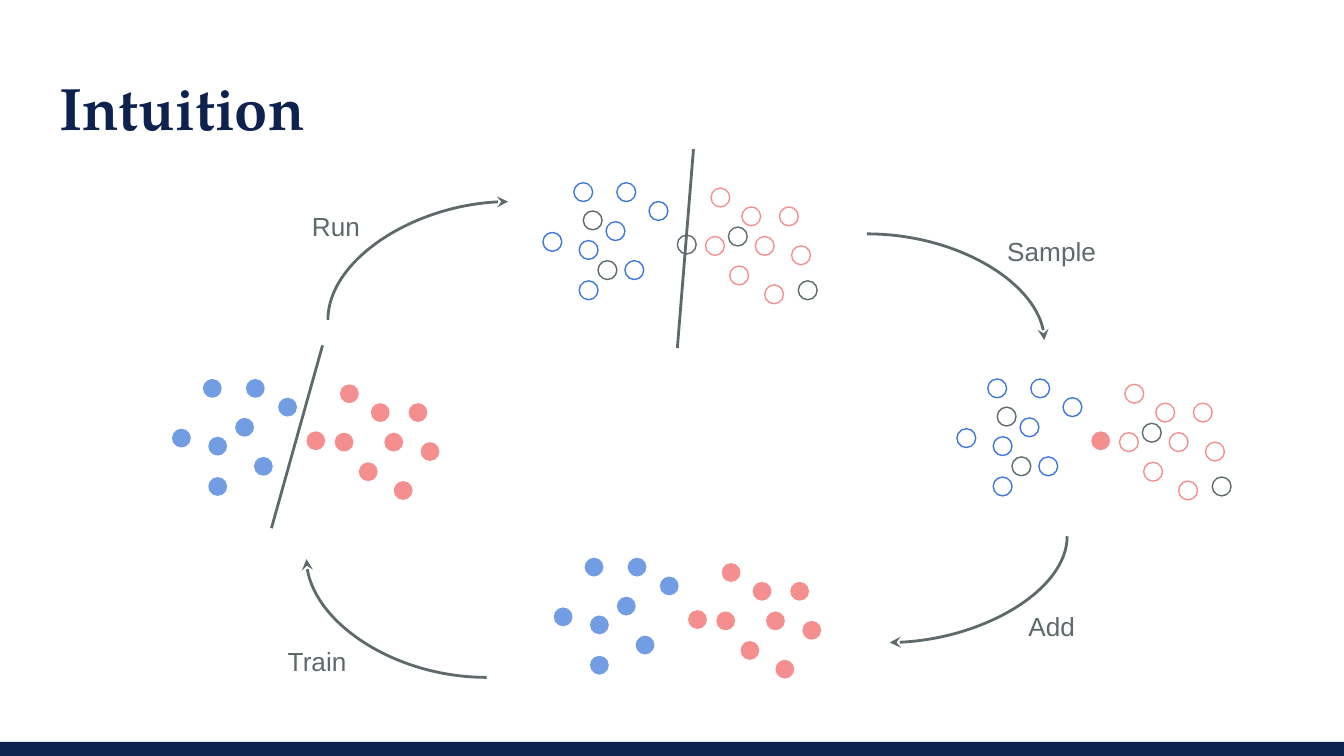
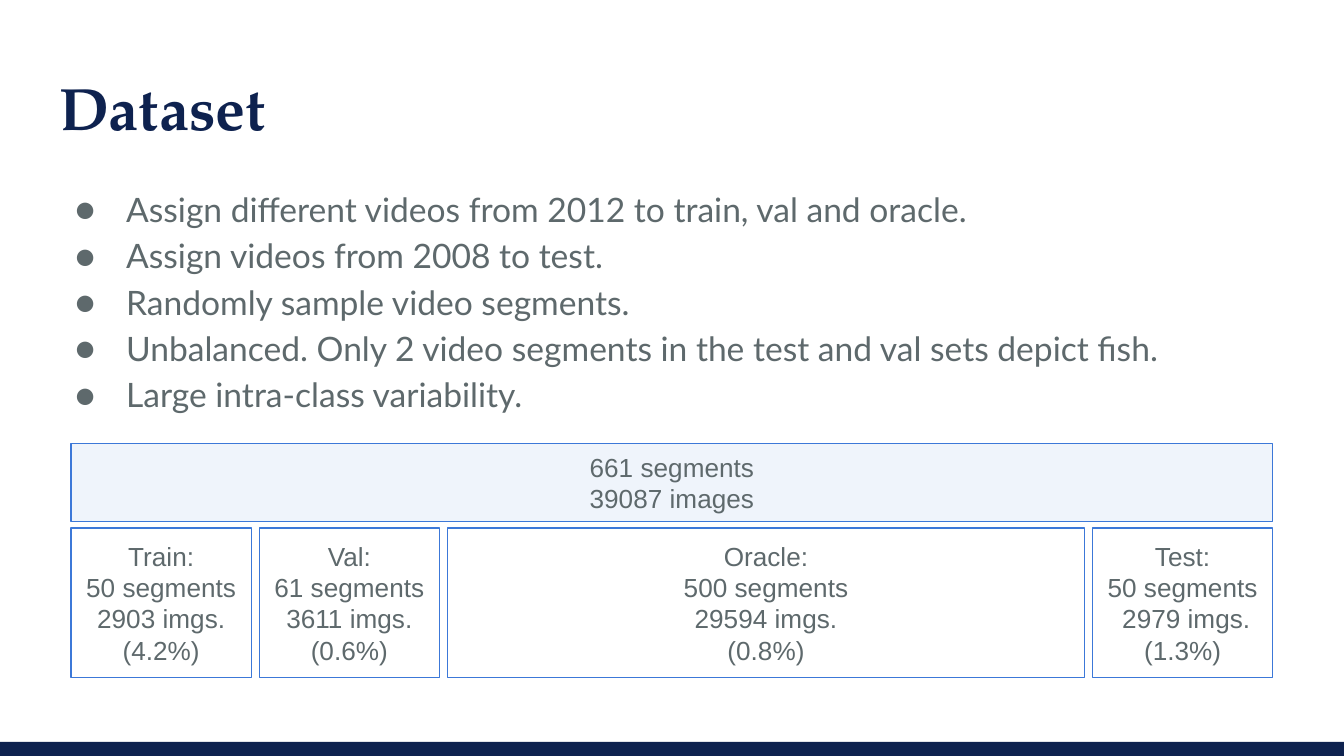
from dataclasses import dataclass

from lxml.etree import SubElement
from pptx import Presentation
from pptx.dml.color import RGBColor
from pptx.enum.shapes import MSO_CONNECTOR, MSO_SHAPE
from pptx.enum.text import MSO_ANCHOR, MSO_AUTO_SIZE, PP_ALIGN
from pptx.oxml.ns import qn
from pptx.util import Inches, Pt


@dataclass(frozen=True)
class Theme:
    navy: str = "0E224F"
    gray: str = "5E696C"
    blue: str = "3C78D8"
    red: str = "F58F8F"
    serif: str = "TeX Gyre Pagella"
    sans: str = "Lato"
    plain: str = "Arial"
    title: int = 32
    body: int = 18
    label: int = 14
    thin: float = 0.75
    thick: float = 1.5


THEME = Theme()
WIDTH = 10
HEIGHT = WIDTH * 9 / 16
DOT = 0.14

# Dot places, measured from the top left of a cluster
BLUES = [(0.55, 0), (0.23, 0), (0.27, 0.43), (0.61, 0.58),
         (0.79, 0.14), (0.27, 0.73), (0, 0.37), (0.47, 0.29)]
REDS = [(1.25, 0.04), (1.21, 0.4), (1.48, 0.18), (1.39, 0.62),
        (1.58, 0.4), (1.65, 0.76), (1.76, 0.18), (1.85, 0.47)]
GRAYS = [(1.38, 0.33), (0.3, 0.21), (0.41, 0.58), (1.9, 0.73)]
MIDDLE = (1.0, 0.39)

POINTS = [
    "Assign different videos from 2012 to train, val and oracle.",
    "Assign videos from 2008 to test.",
    "Randomly sample video segments.",
    "Unbalanced. Only 2 video segments in the test and val sets depict fish.",
    "Large intra-class variability.",
]
SPLITS = [
    (1.34, "Train:\n50 segments\n2903 imgs.\n(4.2%)"),
    (1.34, "Val:\n61 segments\n3611 imgs.\n(0.6%)"),
    (4.74, "Oracle:\n500 segments\n29594 imgs.\n(0.8%)"),
    (1.34, "Test:\n50 segments\n 2979 imgs.\n(1.3%)"),
]


def color(code):
    return RGBColor.from_string(code)


def write(shape, text, font, size, tint, bold=False,
          align=PP_ALIGN.LEFT, anchor=MSO_ANCHOR.TOP):
    frame = shape.text_frame
    frame.text = text
    frame.word_wrap = True
    frame.auto_size = MSO_AUTO_SIZE.NONE
    frame.vertical_anchor = anchor
    frame.margin_left = frame.margin_right = Inches(0.1)
    frame.margin_top = frame.margin_bottom = Inches(0.1)
    for para in frame.paragraphs:
        para.alignment = align
        for run in para.runs:
            run.font.name = font
            run.font.size = Pt(size)
            run.font.bold = bold
            run.font.color.rgb = color(tint)


def label(shape, text):
    write(shape, text, THEME.plain, THEME.label, THEME.gray,
          align=PP_ALIGN.CENTER, anchor=MSO_ANCHOR.MIDDLE)


def draw(slide, kind, left, top, width, height, fill=None, alpha=100, edge=None):
    shape = slide.shapes.add_shape(
        kind, Inches(left), Inches(top), Inches(width), Inches(height))
    shape.shadow.inherit = False
    if fill:
        shape.fill.solid()
        shape.fill.fore_color.rgb = color(fill)
        if alpha < 100:
            tone = shape._element.spPr.find(".//" + qn("a:srgbClr"))
            SubElement(tone, qn("a:alpha"), val=str(alpha * 1000))
    else:
        shape.fill.background()
    if edge:
        shape.line.color.rgb = color(edge)
        shape.line.width = Pt(THEME.thin)
    else:
        shape.line.fill.background()
    return shape


def textbox(slide, left, top, width, height):
    return slide.shapes.add_textbox(
        Inches(left), Inches(top), Inches(width), Inches(height))


def stroke(slide, start, end, kind=MSO_CONNECTOR.STRAIGHT):
    line = slide.shapes.add_connector(kind, *map(Inches, start + end))
    line.line.color.rgb = color(THEME.gray)
    line.line.width = Pt(THEME.thick)
    SubElement(line._element.spPr, qn("a:effectLst"))
    return line


def arc(slide, start, end, turn):
    """Quarter curve with an arrowhead; its box is turned about its centre."""
    mid = [(a + b) / 2 for a, b in zip(start, end)]
    half = [abs(a - b) / 2 for a, b in zip(start, end)]
    if turn % 180:
        half.reverse()
    low = tuple(m - h for m, h in zip(mid, half))
    high = tuple(m + h for m, h in zip(mid, half))
    line = stroke(slide, low, high, MSO_CONNECTOR.CURVE)
    props = line._element.spPr
    props.find(qn("a:prstGeom")).set("prst", "curvedConnector2")
    props.find(qn("a:xfrm")).set("rot", str(turn * 60000))
    SubElement(props.find(qn("a:ln")), qn("a:tailEnd"), type="stealth")


def dots(slide, origin, spots, **look):
    for x, y in spots:
        draw(slide, MSO_SHAPE.OVAL, origin[0] + x, origin[1] + y, DOT, DOT, **look)


def filled(slide, origin):
    dots(slide, origin, BLUES, fill=THEME.blue, alpha=72)
    dots(slide, origin, REDS + [MIDDLE], fill=THEME.red)


def hollow(slide, origin, **look):
    dots(slide, origin, BLUES, edge=THEME.blue)
    dots(slide, origin, REDS, edge=THEME.red)
    dots(slide, origin, GRAYS, edge=THEME.gray)
    dots(slide, origin, [MIDDLE], **look)


def bullets(shape, items):
    write(shape, "\n".join(items), THEME.sans, THEME.body, THEME.gray)
    for para in shape.text_frame.paragraphs:
        props = para._p.get_or_add_pPr()
        props.set("marL", str(Inches(0.5)))
        props.set("indent", str(Inches(-0.38)))
        tone = SubElement(props, qn("a:buClr"))
        SubElement(tone, qn("a:srgbClr"), val=THEME.gray)
        SubElement(props, qn("a:buFont"), typeface=THEME.sans)
        SubElement(props, qn("a:buChar"), char="●")
        para.line_spacing = 1.15


def page(deck, text):
    slide = deck.slides.add_slide(deck.slide_layouts[5])
    title = slide.shapes.title
    title.left, title.top = Inches(0.34), Inches(0.43)
    title.width, title.height = Inches(9.32), Inches(0.68)
    write(title, text, THEME.serif, THEME.title, THEME.navy, bold=True)
    return slide


def footer(deck, slide):
    """Build the band once and move it to the master."""
    band = draw(slide, MSO_SHAPE.RECTANGLE, 0, 5.52, WIDTH, 0.11, fill=THEME.navy)
    band._element.nvSpPr.cNvPr.set("id", "99")
    deck.slide_master.shapes._spTree.append(band._element)


def intuition(slide):
    # Training set, split by the model
    filled(slide, (1.28, 2.82))
    stroke(slide, (2.4, 2.57), (2.02, 3.93))

    # Unlabelled set, split by the model
    stroke(slide, (5.16, 1.11), (5.04, 2.59))
    hollow(slide, (4.04, 1.36), edge=THEME.gray)

    # Sampled point, then the larger training set
    hollow(slide, (7.12, 2.82), fill=THEME.red)
    filled(slide, (4.12, 4.15))

    # Cycle steps
    steps = [
        ("Run", (2.44, 2.38), (3.78, 1.5), 270, (2.12, 1.44, 0.76)),
        ("Sample", (6.45, 1.74), (7.77, 2.53), 0, (7.36, 1.62, 0.93)),
        ("Add", (7.94, 3.99), (6.62, 4.78), 90, (7.36, 4.41, 0.93)),
        ("Train", (3.62, 5.04), (2.28, 4.16), 180, (1.98, 4.67, 0.76)),
    ]
    for name, start, end, turn, place in steps:
        arc(slide, start, end, turn)
        label(textbox(slide, *place, 0.49), name)


def dataset(slide):
    bullets(textbox(slide, 0.34, 1.26, 9.32, 3.74), POINTS)

    # Total above its splits
    left, gap = 0.53, 0.06
    total = sum(width for width, _ in SPLITS) + gap * (len(SPLITS) - 1)
    bar = draw(slide, MSO_SHAPE.RECTANGLE, left, 3.3, total, 0.58,
               fill=THEME.blue, alpha=8, edge=THEME.blue)
    label(bar, "661 segments\n39087 images")
    for width, text in SPLITS:
        box = draw(slide, MSO_SHAPE.RECTANGLE, left, 3.93, width, 1.11,
                   edge=THEME.blue)
        label(box, text)
        left += width + gap


def main():
    deck = Presentation()
    deck.slide_width, deck.slide_height = Inches(WIDTH), Inches(HEIGHT)
    first = page(deck, "Intuition")
    footer(deck, first)
    intuition(first)
    dataset(page(deck, "Dataset"))
    deck.save("out.pptx")


if __name__ == "__main__":
    main()
